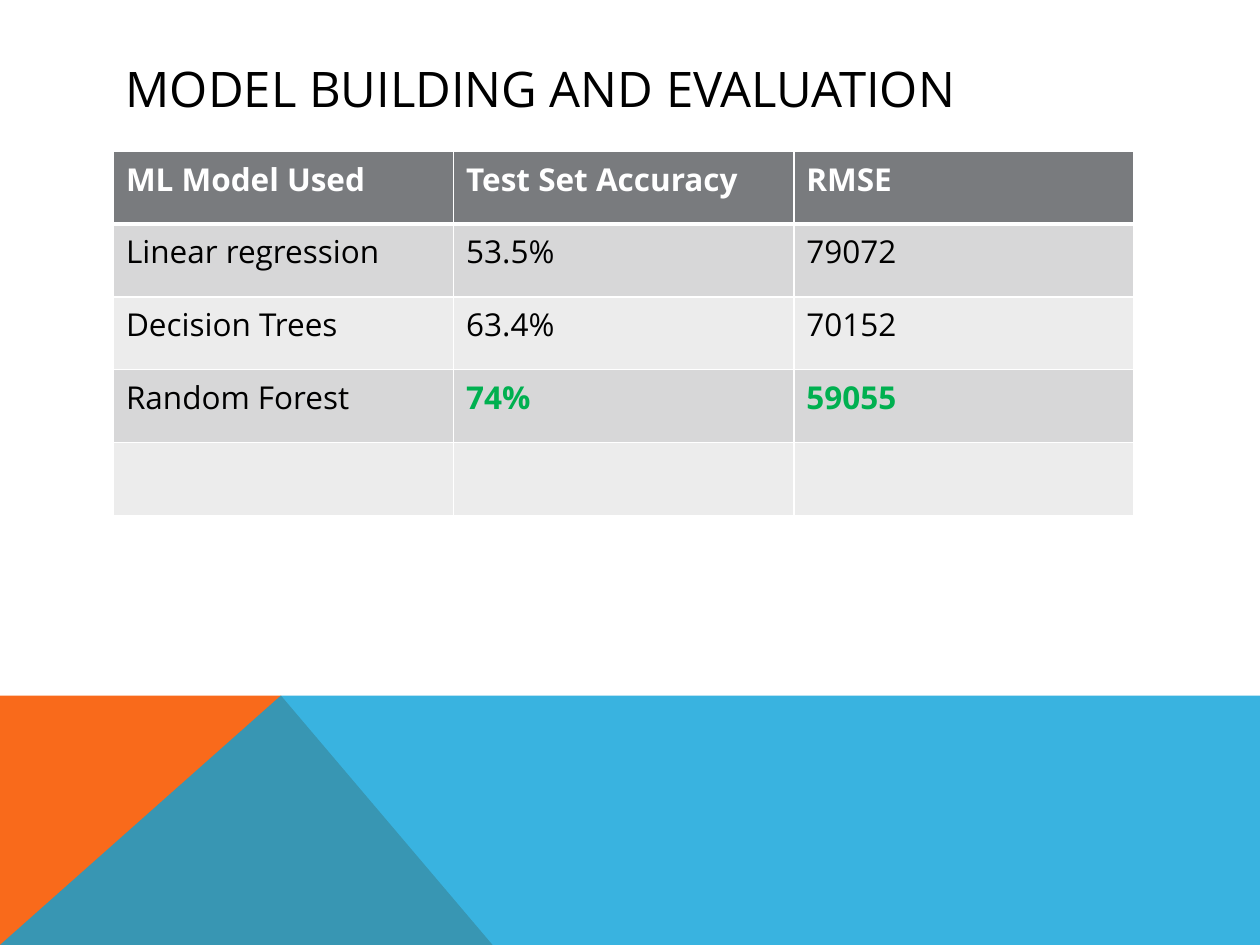
from lxml.etree import SubElement
from pptx import Presentation
from pptx.dml.color import RGBColor
from pptx.enum.text import MSO_ANCHOR as ANCHOR
from pptx.oxml.ns import qn
from pptx.util import Inches, Pt

COLORS = {
    "white": "FFFFFF",
    "black": "000000",
    "header": "797B7E",
    "band_dark": "D7D7D8",
    "band_light": "ECECEC",
    "best": "00B050",
    "orange": "F96A1B",
    "blue": "08A1D9",
}


class SlideBuilder:
    """Holds the style and the current slide, and draws its elements."""

    font = "Open Sans"

    def __init__(self, slide):
        self.slide = slide

    def color(self, name):
        return RGBColor.from_string(COLORS[name])

    def run(self, p, text, size, color, bold=False):
        r = p.add_run()
        r.text = text
        r.font.name = self.font
        r.font.size = Pt(size)
        r.font.bold = bold
        r.font.color.rgb = self.color(color)

    def polygon(self, points, color, alpha=100):
        start, *rest = [(Inches(x), Inches(y)) for x, y in points]
        builder = self.slide.shapes.build_freeform(*start)
        builder.add_line_segments(rest, close=True)
        sp = builder.convert_to_shape()
        sp.shadow.inherit = False
        sp.line.fill.background()
        sp.fill.solid()
        sp.fill.fore_color.rgb = self.color(color)
        if alpha < 100:
            clr = sp.fill._xPr.find(".//" + qn("a:srgbClr"))
            SubElement(clr, qn("a:alpha"), val=str(alpha * 1000))

    def title(self, text, x, y, w, h):
        sp = self.slide.shapes.add_textbox(*map(Inches, (x, y, w, h)))
        tf = sp.text_frame
        tf.word_wrap = True
        tf.vertical_anchor = ANCHOR.MIDDLE
        self.run(tf.paragraphs[0], text, 28, "black")

    def border(self, cell, side, width):
        tcPr = cell._tc.get_or_add_tcPr()
        ln = SubElement(tcPr, qn("a:ln" + side), w=str(Pt(width)))
        fill = SubElement(ln, qn("a:solidFill"))
        SubElement(fill, qn("a:srgbClr"), val=COLORS["white"])

    def table(self, rows, best, x, y, w, h):
        frame = self.slide.shapes.add_table(
            len(rows), len(rows[0]), *map(Inches, (x, y, w, h)))
        for i, row in enumerate(rows):
            header = i == 0
            band = "header" if header else "band_dark" if i % 2 else "band_light"
            for j, text in enumerate(row):
                cell = frame.table.cell(i, j)
                widths = {"L": 1, "R": 1, "T": 3 if i == 1 else 1, "B": 3 if header else 1}
                for side, width in widths.items():
                    self.border(cell, side, width)
                cell.fill.solid()
                cell.fill.fore_color.rgb = self.color(band)
                if text:
                    winner = i == best and j > 0
                    color = "white" if header else "best" if winner else "black"
                    p = cell.text_frame.paragraphs[0]
                    self.run(p, text, 18, color, header or winner)


ROWS = [
    ("ML Model Used", "Test Set Accuracy", "RMSE"),
    ("Linear regression", "53.5%", "79072"),
    ("Decision Trees", "63.4%", "70152"),
    ("Random Forest", "74%", "59055"),
    ("", "", ""),
]

prs = Presentation()
prs.slide_width, prs.slide_height = Inches(10), Inches(7.5)
s = SlideBuilder(prs.slides.add_slide(prs.slide_layouts[6]))

peak = (2.23, 5.52)
s.polygon([(0, 7.5), (0, 5.52), peak, (3.91, 7.5)], "orange")
s.polygon([(0, 7.5), peak, (10, 5.52), (10, 7.5)], "blue", alpha=80)
s.title("MODEL BUILDING AND EVALUATION", 0.9, 0.4, 8.22, 0.6)
s.table(ROWS, best=3, x=0.9, y=1.2, w=8.1, h=2.89)

prs.save("out.pptx")
